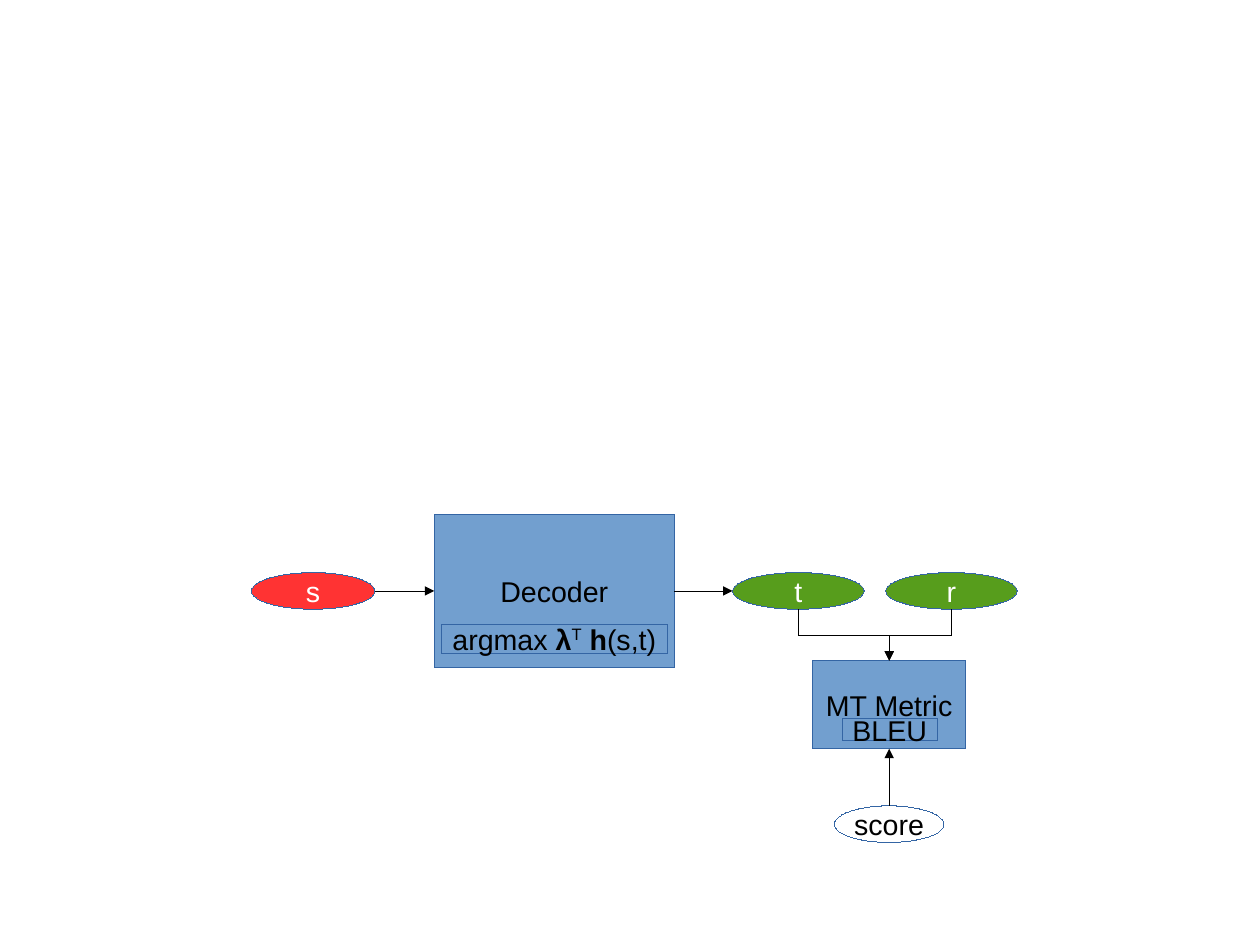
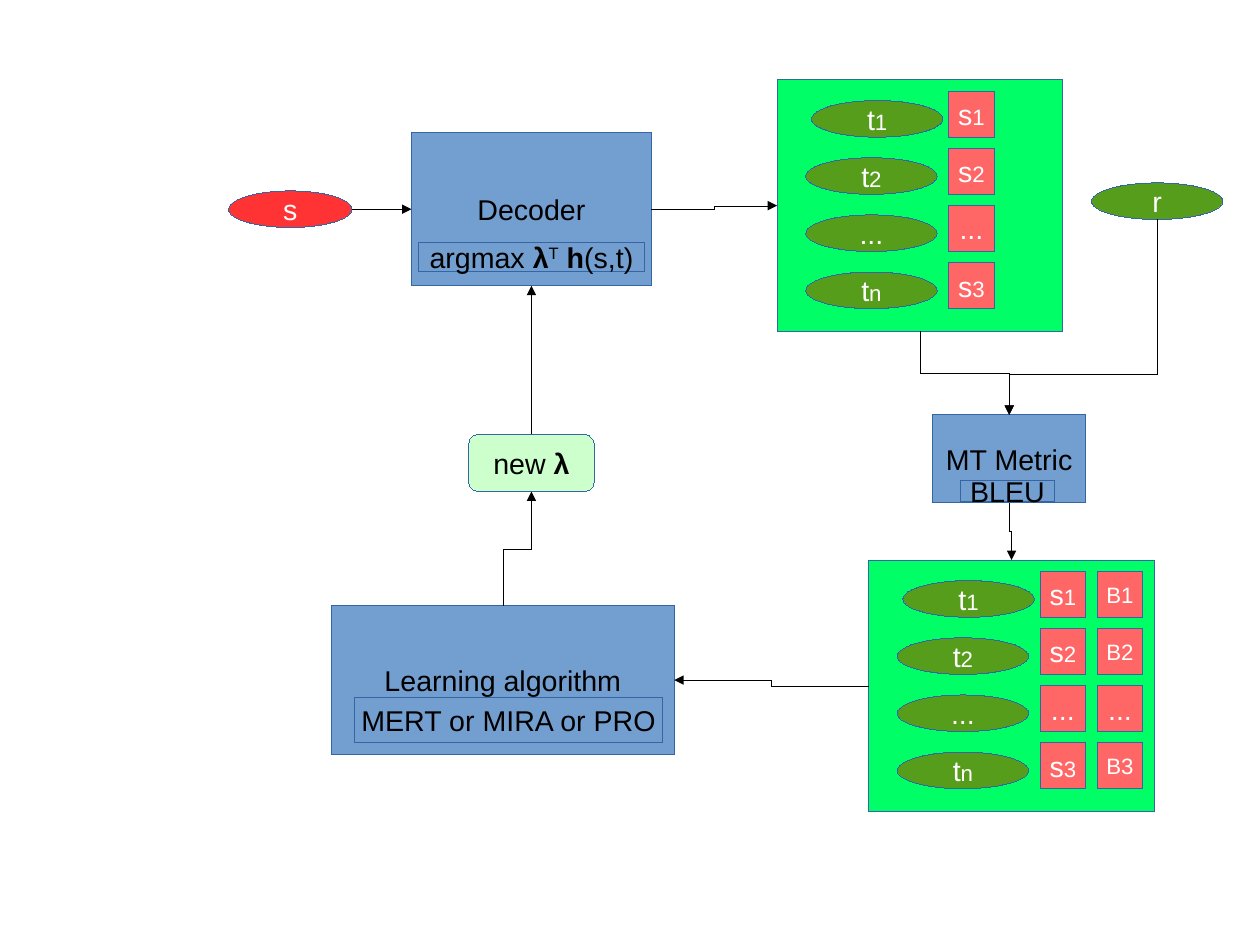
from dataclasses import dataclass
from lxml.etree import SubElement
from pptx import Presentation
from pptx.dml.color import RGBColor
from pptx.enum.shapes import MSO_CONNECTOR, MSO_SHAPE
from pptx.enum.text import MSO_ANCHOR, PP_ALIGN
from pptx.oxml.ns import qn
from pptx.util import Pt

PX = 9144  # 100 px to the inch
PAGE = 10080625, 7559675  # the 28 by 21 cm screen format, in EMU
TOP, LEFT, BOTTOM, RIGHT = range(4)
RECT, OVAL, ROUND = MSO_SHAPE.RECTANGLE, MSO_SHAPE.OVAL, MSO_SHAPE.ROUNDED_RECTANGLE


@dataclass(frozen=True)
class Theme:
    font: str = "Arial"
    size: int = 18
    small: int = 14
    black: str = "000000"
    white: str = "FFFFFF"
    edge: str = "3465A4"
    blue: str = "729FCF"
    red: str = "FF3333"
    green: str = "579D1C"
    lime: str = "00FF66"
    pink: str = "FF6666"
    mint: str = "CCFFCC"


T = Theme()


# Basic elements
def write(shape, runs, color):
    """Runs are a string, or pairs of text and style: bold, super, small."""
    frame = shape.text_frame
    frame.word_wrap = False
    frame.vertical_anchor = MSO_ANCHOR.MIDDLE
    para = frame.paragraphs[0]
    para.alignment = PP_ALIGN.CENTER
    for text, style in [(runs, "")] if isinstance(runs, str) else runs:
        run = para.add_run()
        run.text = text
        font = run.font
        font.name = T.font
        font.size = Pt(T.small if style == "small" else T.size)
        font.bold = style == "bold"
        font.color.rgb = RGBColor.from_string(color)
        if style == "super":
            font._element.set("baseline", "33000")


def ink(line, color):
    """Hairline; a width of nought has to be written out to count."""
    line.color.rgb = RGBColor.from_string(color)
    stroke = line._get_or_add_ln()
    stroke.set("w", "0")
    return stroke


def node(page, kind, box, fill, runs=None, color=T.black):
    shape = page.shapes.add_shape(kind, *(n * PX for n in box))
    shape.shadow.inherit = False
    if fill:
        shape.fill.solid()
        shape.fill.fore_color.rgb = RGBColor.from_string(fill)
    else:
        shape.fill.background()
    ink(shape.line, T.edge)
    if runs:
        write(shape, runs, color)
    return shape


def oval(page, x, y, runs, fill=T.green, wide=115):
    return node(page, OVAL, (x, y, wide, 32), fill, runs, T.white)


def spot(shape, side):
    x = shape.left + (0, 0, 0, 2)[side] * shape.width // 2
    y = shape.top + (0, 0, 2, 0)[side] * shape.height // 2
    if side in (TOP, BOTTOM):
        return x + shape.width // 2, y
    return x, y + shape.height // 2


def link(page, first, out, last, into, bend=0.5):
    """Arrow glued to both shapes, bent only where the ends are not in line."""
    (x1, y1), (x2, y2) = spot(first, out), spot(last, into)
    wide, high = x2 - x1, y2 - y1
    bent = min(abs(wide), abs(high)) > PX // 2
    kind = MSO_CONNECTOR.ELBOW if bent else MSO_CONNECTOR.STRAIGHT
    ends, turn = (x1, y1, x2, y2), 0
    if bent and out in (TOP, BOTTOM):
        # A bent arrow that leaves upright is a level one, turned about its middle
        turn = 270 if wide > 0 else 90
        flip = (high > 0) != (turn == 90)
        midx, midy = (x1 + x2) // 2, (y1 + y2) // 2
        dx, dy = abs(high) // 2 * (-1 if flip else 1), abs(wide) // 2
        ends = midx - dx, midy - dy, midx + dx, midy + dy
    arrow = page.shapes.add_connector(kind, *ends)
    SubElement(ink(arrow.line, T.black), qn("a:tailEnd"), type="triangle")
    props = arrow._element.spPr
    SubElement(props, qn("a:effectLst"))
    if turn:
        props.find(qn("a:xfrm")).set("rot", str(turn * 60000))
    if bend != 0.5:
        guides = props.find(qn("a:prstGeom")).find(qn("a:avLst"))
        SubElement(guides, qn("a:gd"), name="adj1", fmla=f"val {round(bend * 100000)}")
    glue = arrow._element.nvCxnSpPr.cNvCxnSpPr
    pairs = (glue.get_or_add_stCxn(), first, out), (glue.get_or_add_endCxn(), last, into)
    for mark, shape, side in pairs:
        mark.id = shape.shape_id
        # An oval has eight sites, the other shapes four
        mark.idx = side * 2 if shape.auto_shape_type == OVAL else side


# Parts that both slides use
def decode(page, x, y):
    """Source oval, decoder box and the arrow between them."""
    source = oval(page, x, y + 51, "s", T.red, 108)
    box = node(page, RECT, (x + 160, y, 210, 134), T.blue, "Decoder")
    rule = [("argmax ", ""), ("λ", "bold"), ("T", "super"), (" h", "bold"), ("(s,t)", "")]
    node(page, RECT, (x + 166, y + 96, 198, 26), T.blue, rule)
    link(page, source, RIGHT, box, LEFT)
    return box


def metric(page, x, y, tagx, tagy):
    box = node(page, RECT, (x, y, 134, 77), T.blue, "MT Metric")
    node(page, RECT, (tagx, tagy, 83, 19), T.blue, "BLEU")
    return box


def label(stem, mark):
    return [(stem, ""), (mark, "small")] if mark else "..."


def ranks(page, x, y, scored=False):
    """Panel of candidates with model scores and, if scored, metric scores."""
    panel = node(page, RECT, (x, y, 250, 220), T.lime)
    for row, (name, mark) in enumerate(zip(("1", "2", "", "n"), ("1", "2", "", "3"))):
        top = y + 10 + 50 * row
        oval(page, x + (25 if row else 30), top + 8, label("t", name))
        cells = [label("s", mark)]
        if scored:
            cells.append([("B" + mark, "small")] if mark else "...")
        for col, runs in enumerate(cells):
            node(page, RECT, (x + 150 + 50 * col, top, 40, 40), T.pink, runs, T.white)
    return panel


# Slides
def score(page):
    coder = decode(page, 220, 450)
    target = oval(page, 641, 501, "t")
    model = oval(page, 775, 501, "r")
    meter = metric(page, 711, 578, 737, 629)
    result = node(page, OVAL, (730, 705, 96, 32), None, "score")
    link(page, coder, RIGHT, target, LEFT)
    link(page, target, BOTTOM, meter, TOP)
    link(page, model, BOTTOM, meter, TOP)
    link(page, result, TOP, meter, BOTTOM)


def tune(page):
    coder = decode(page, 200, 116)
    guesses = ranks(page, 680, 70)
    model = oval(page, 955, 160, "r")
    meter = metric(page, 816, 363, 840, 420)
    graded = ranks(page, 760, 490, scored=True)
    learner = node(page, RECT, (290, 530, 300, 130), T.blue, "Learning algorithm")
    node(page, RECT, (310, 610, 270, 40), T.blue, "MERT or MIRA or PRO")
    weights = node(page, ROUND, (410, 380, 110, 50), T.mint, [("new ", ""), ("λ", "bold")])
    link(page, coder, RIGHT, guesses, LEFT)
    link(page, guesses, BOTTOM, meter, TOP)
    link(page, model, BOTTOM, meter, TOP, 0.79)
    link(page, meter, BOTTOM, graded, TOP)
    link(page, graded, LEFT, learner, RIGHT)
    link(page, learner, TOP, weights, BOTTOM)
    link(page, weights, TOP, coder, BOTTOM)


def main():
    deck = Presentation()
    deck.slide_width, deck.slide_height = PAGE
    for draw in (score, tune):
        draw(deck.slides.add_slide(deck.slide_layouts[6]))
    deck.save("out.pptx")


if __name__ == "__main__":
    main()
